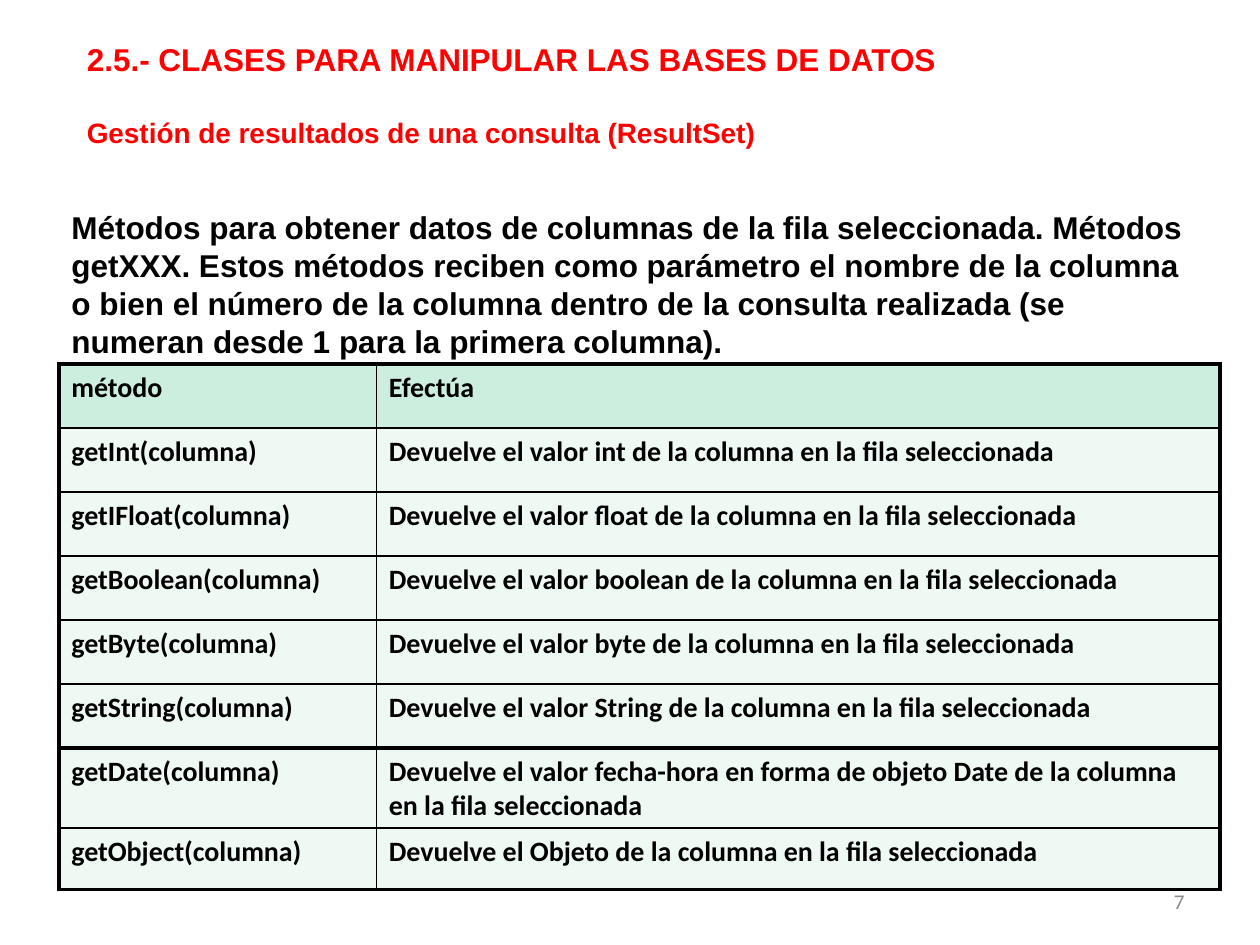
from dataclasses import dataclass

from lxml import etree
from pptx import Presentation
from pptx.dml.color import RGBColor
from pptx.enum.text import MSO_ANCHOR, PP_ALIGN
from pptx.oxml.ns import qn
from pptx.util import Cm, Pt

LEFT, RIGHT = PP_ALIGN.LEFT, PP_ALIGN.RIGHT
TOP, MIDDLE = MSO_ANCHOR.TOP, MSO_ANCHOR.MIDDLE

RED = RGBColor(0xFF, 0x00, 0x00)
BLACK = RGBColor(0x00, 0x00, 0x00)
GREY = RGBColor(0x89, 0x89, 0x89)
HEADER_GREEN = RGBColor(0xCC, 0xEE, 0xDF)
ROW_GREEN = RGBColor(0xEE, 0xF9, 0xF4)

THIN, THICK = Pt(1), Pt(2.25)
MARGIN_X, MARGIN_Y = Cm(0.25), Cm(0.13)


@dataclass(frozen=True)
class Style:
    font: str
    size: float
    color: RGBColor
    bold: bool = True
    align: PP_ALIGN = LEFT
    space_before: float = 0


@dataclass(frozen=True)
class TextBlock:
    left: float
    top: float
    width: float
    height: float
    lines: tuple[tuple[str, Style], ...]
    anchor: MSO_ANCHOR = TOP
    margin_top: float = 0.13


@dataclass(frozen=True)
class Method:
    name: str
    effect: str
    height: float = 1.29


HEADING = Style("Arial", 18, RED)
SUBHEADING = Style("Arial", 16, RED, space_before=21.3)
EXPLANATION = Style("Arial", 18, BLACK)
PAGE_NUMBER = Style("Calibri", 12, GREY, bold=False, align=RIGHT)
CELL = Style("Calibri", 16, BLACK, space_before=8)

INTRO = TextBlock(1.19, 1.78, 23.22, 13.23, ((
    "Métodos para obtener datos de columnas de la fila seleccionada. "
    "Métodos getXXX. Estos métodos reciben como parámetro el nombre de la "
    "columna o bien el número de la columna dentro de la consulta realizada "
    "(se numeran desde 1 para la primera columna).", EXPLANATION),),
    margin_top=2.42)
PAGE = TextBlock(18.21, 17.65, 5.92, 1.02, (("7", PAGE_NUMBER),), MIDDLE)
TITLE = TextBlock(1.5, 0.66, 22.63, 2.49, (
    ("2.5.- CLASES PARA MANIPULAR LAS BASES DE DATOS", HEADING),
    ("Gestión de resultados de una consulta (ResultSet)", SUBHEADING),
), MIDDLE)

TABLE_LEFT, TABLE_TOP = 1.19, 7.34
COLUMN_WIDTHS = (6.4, 17)
SECTION_STARTS = (0, 6)  # rows with a thick line above them


def value_getter(method: str, value: str) -> Method:
    return Method(f"{method}(columna)",
                  f"Devuelve el valor {value} de la columna en la fila seleccionada")


METHODS = (
    Method("método", "Efectúa"),
    value_getter("getInt", "int"),
    value_getter("getIFloat", "float"),
    value_getter("getBoolean", "boolean"),
    value_getter("getByte", "byte"),
    value_getter("getString", "String"),
    Method("getDate(columna)", "Devuelve el valor fecha-hora en forma de objeto "
           "Date de la columna en la fila seleccionada", 1.6),
    Method("getObject(columna)",
           "Devuelve el Objeto de la columna en la fila seleccionada", 1.24),
)


def write_paragraph(paragraph, text: str, style: Style) -> None:
    paragraph.alignment = style.align
    paragraph.space_before = Pt(style.space_before)
    run = paragraph.add_run()
    run.text = text
    run.font.name = style.font
    run.font.size = Pt(style.size)
    run.font.bold = style.bold
    run.font.color.rgb = style.color


def add_text_block(slide, block: TextBlock) -> None:
    frame = slide.shapes.add_textbox(Cm(block.left), Cm(block.top),
                                     Cm(block.width), Cm(block.height)).text_frame
    frame.word_wrap = True
    frame.vertical_anchor = block.anchor
    frame.margin_left = frame.margin_right = MARGIN_X
    frame.margin_top, frame.margin_bottom = Cm(block.margin_top), MARGIN_Y
    for index, (text, style) in enumerate(block.lines):
        paragraph = frame.add_paragraph() if index else frame.paragraphs[0]
        write_paragraph(paragraph, text, style)


def set_borders(cell, widths: dict[str, int]) -> None:
    """Draw black cell edges; the schema wants them ahead of the fill."""
    properties = cell._tc.get_or_add_tcPr()
    for index, (edge, width) in enumerate(widths.items()):
        line = etree.Element(qn(f"a:ln{edge}"), w=str(width))
        fill = etree.SubElement(line, qn("a:solidFill"))
        etree.SubElement(fill, qn("a:srgbClr"), val=str(BLACK))
        properties.insert(index, line)


def add_method_table(slide) -> None:
    row_count, column_count = len(METHODS), len(COLUMN_WIDTHS)
    table = slide.shapes.add_table(
        row_count, column_count, Cm(TABLE_LEFT), Cm(TABLE_TOP),
        Cm(sum(COLUMN_WIDTHS)), Cm(sum(m.height for m in METHODS))).table
    table.horz_banding = False
    for column, width in zip(table.columns, COLUMN_WIDTHS):
        column.width = Cm(width)

    thick_rows = (*SECTION_STARTS, row_count)
    for r, method in enumerate(METHODS):
        table.rows[r].height = Cm(method.height)
        for c, text in enumerate((method.name, method.effect)):
            cell = table.cell(r, c)
            cell.margin_left = cell.margin_right = MARGIN_X
            cell.margin_top = cell.margin_bottom = MARGIN_Y
            cell.fill.solid()
            cell.fill.fore_color.rgb = ROW_GREEN if r else HEADER_GREEN
            write_paragraph(cell.text_frame.paragraphs[0], text, CELL)
            set_borders(cell, {
                "L": THICK if c == 0 else THIN,
                "R": THICK if c == column_count - 1 else THIN,
                "T": THICK if r in thick_rows else THIN,
                "B": THICK if r + 1 in thick_rows else THIN,
            })


def main() -> None:
    presentation = Presentation()
    presentation.slide_width, presentation.slide_height = Cm(25.4), Cm(19.05)
    slide = presentation.slides.add_slide(presentation.slide_layouts[6])
    add_text_block(slide, INTRO)
    add_text_block(slide, PAGE)
    add_method_table(slide)
    add_text_block(slide, TITLE)
    presentation.save("out.pptx")


if __name__ == "__main__":
    main()
